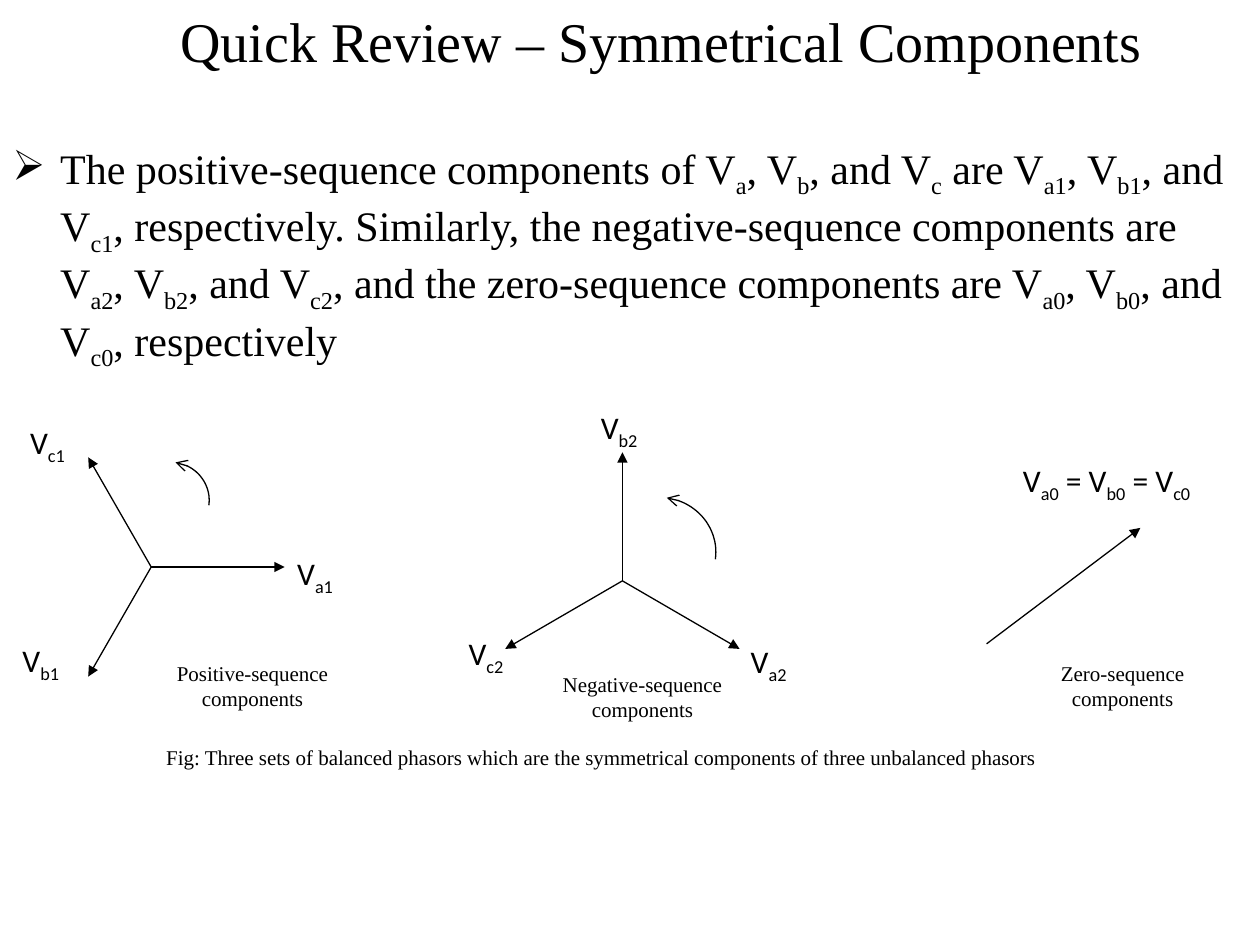
from math import cos, pi, sin
from lxml import etree
from pptx import Presentation
from pptx.dml.color import RGBColor
from pptx.enum.shapes import MSO_CONNECTOR
from pptx.enum.text import MSO_ANCHOR, MSO_AUTO_SIZE, PP_ALIGN
from pptx.oxml.ns import qn
from pptx.util import Inches, Pt

STRAIGHT = MSO_CONNECTOR.STRAIGHT
TOP = MSO_ANCHOR.TOP
GROW, FIXED = MSO_AUTO_SIZE.SHAPE_TO_FIT_TEXT, MSO_AUTO_SIZE.NONE
LEFT, CENTER = PP_ALIGN.LEFT, PP_ALIGN.CENTER
SERIF, SANS = "Times New Roman", "Calibri"


def color(code):
    return RGBColor.from_string(code)


class Board:
    """Hold the style and the slide, and draw each kind of element on it."""

    ink = "000000"
    width = 0.75

    def __init__(self, slide):
        self.slide = slide

    def letter(self, shape, lines, size, face, align, wrap=True, fit=GROW):
        frame = shape.text_frame
        form = {"word_wrap": wrap, "auto_size": fit, "vertical_anchor": TOP}
        for name, value in form.items():
            setattr(frame, name, value)
        for i, line in enumerate(lines):
            para = frame.add_paragraph() if i else frame.paragraphs[0]
            para.alignment = align
            for j, part in enumerate(line.split("|")):
                run = para.add_run()
                run.text = part
                font = {"size": Pt(size), "name": face}
                for name, value in font.items():
                    setattr(run.font, name, value)
                run.font.color.rgb = color(self.ink)
                if j % 2:
                    run._r.get_or_add_rPr().set("baseline", "-25000")
        return frame.paragraphs[0]

    def title(self, text, box, size, indent):
        shape = self.slide.shapes.title
        for name, value in zip(("left", "top", "width", "height"), box):
            setattr(shape, name, Inches(value))
        para = self.letter(shape, [text], size, SERIF, CENTER, fit=FIXED)
        para._p.get_or_add_pPr().set("marL", str(Inches(indent)))

    def text(self, lines, box, size, face=SERIF, align=CENTER, wrap=True):
        shape = self.slide.shapes.add_textbox(*map(Inches, box))
        return self.letter(shape, lines, size, face, align, wrap)

    def bullet(self, text, box, size, indent):
        props = self.text([text], box, size, align=LEFT)._p.get_or_add_pPr()
        props.set("marL", str(Inches(indent)))
        props.set("indent", str(-Inches(indent)))
        etree.SubElement(props, qn("a:buChar")).set("char", "➢")

    def label(self, text, left, top, width=0.58):
        self.text([text], (left, top, width, 0.4), 18, SANS, LEFT, False)

    def stroke(self, shape, end, kind):
        shape.line.color.rgb = color(self.ink)
        shape.line.width = Pt(self.width)
        line = shape._element.spPr.find(qn("a:ln"))
        etree.SubElement(line, qn(end)).set("type", kind)

    def arrow(self, start, stop):
        link = self.slide.shapes.add_connector(
            STRAIGHT, *map(Inches, (*start, *stop)))
        self.stroke(link, "a:tailEnd", "triangle")
        etree.SubElement(link._element.spPr, qn("a:effectLst"))

    def swirl(self, left, top, width, height, turn=8, steps=24):
        angles = [pi / 2 * i / steps for i in range(steps + 1)]
        points = [(Inches(left + width * sin(a)),
                   Inches(top + height * (1 - cos(a)))) for a in angles]
        pen = self.slide.shapes.build_freeform(*points[0])
        pen.add_line_segments(points[1:], close=False)
        curve = pen.convert_to_shape()
        curve.fill.background()
        curve.rotation = turn
        self.stroke(curve, "a:headEnd", "arrow")
        curve.shadow.inherit = False


def main():
    deck = Presentation()
    deck.slide_width, deck.slide_height = Inches(10), Inches(7.5)
    board = Board(deck.slides.add_slide(deck.slide_layouts[5]))

    board.title("Quick Review – Symmetrical Components",
                (0, 0, 10, 0.64), 32, 0.5)
    board.bullet(
        "The positive-sequence components of V|a|, V|b|, and V|c| are "
        "V|a1|, V|b1|, and V|c1|, respectively. Similarly, the "
        "negative-sequence components are V|a2|, V|b2|, and V|c2|, and the "
        "zero-sequence components are V|a0|, V|b0|, and V|c0|, respectively",
        (0, 1.08, 10, 1.9), 24, 0.38)

    phasors = [
        ((1.2, 4.5), [(2.26, 4.5), (0.7, 5.37), (0.7, 3.63)]),
        ((4.94, 4.61), [(5.87, 5.15), (4.01, 5.15), (4.94, 3.59)]),
        ((7.83, 5.11), [(9.05, 4.19)]),
    ]
    for start, tips in phasors:
        for tip in tips:
            board.arrow(start, tip)
    board.swirl(1.37, 3.69, 0.31, 0.3)
    board.swirl(5.26, 3.98, 0.45, 0.43)

    labels = [
        ("a1", 2.26, 4.35), ("b1", 0.08, 5.04), ("c1", 0.14, 3.31),
        ("a2", 5.86, 5.05), ("b2", 4.67, 3.19), ("c2", 3.62, 4.98),
    ]
    for mark, left, top in labels:
        board.label(f"V|{mark}", left, top)
    board.label("V|a0| = V|b0| = V|c0", 8.02, 3.61, 1.89)

    names = [
        ("Positive", 1.27, 5.19, 1.47),
        ("Negative", 4.33, 5.28, 1.54),
        ("Zero", 8.29, 5.19, 1.24),
    ]
    for name, left, top, width in names:
        board.text([f"{name}-sequence", "components"],
                   (left, top, width, 0.5), 12, wrap=False)
    board.text(["Fig: Three sets of balanced phasors which are the symmetrical "
                "components of three unbalanced phasors"],
               (0.24, 5.86, 9.07, 0.3), 12)
    deck.save("out.pptx")


if __name__ == "__main__":
    main()
